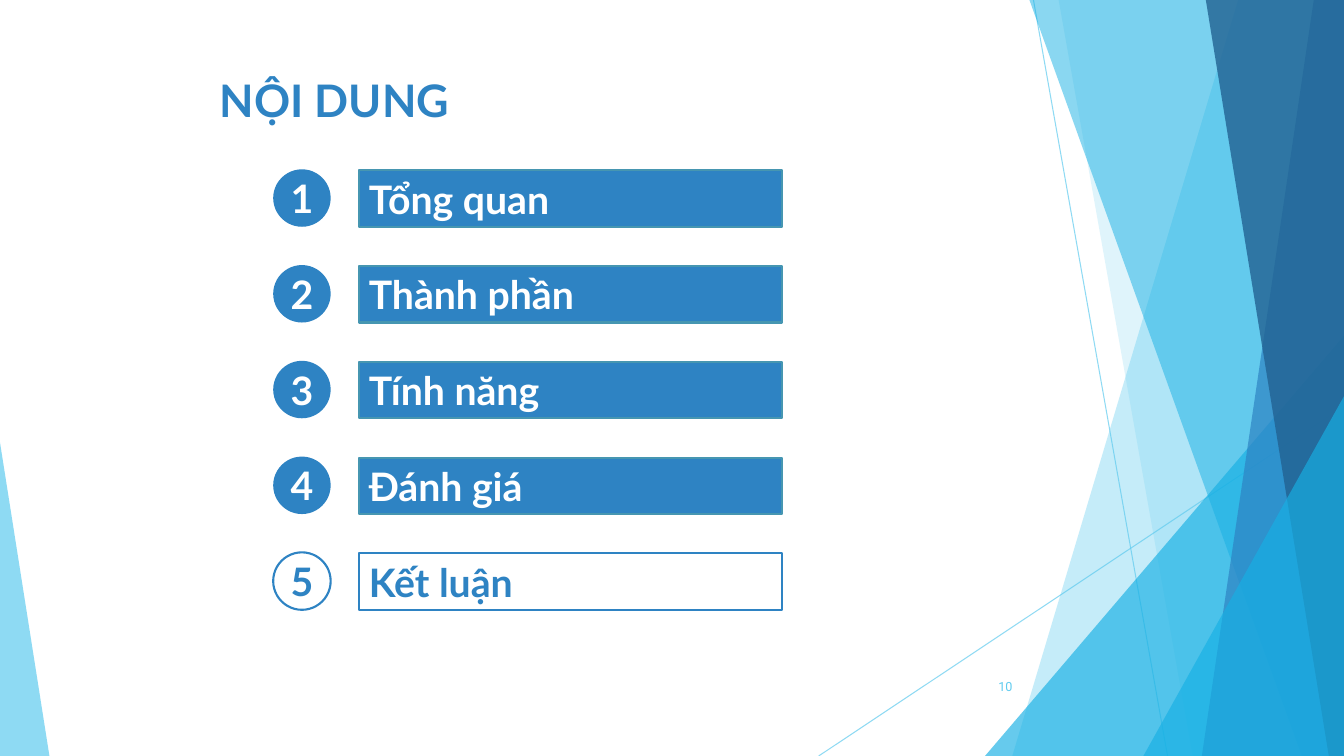
"""Build the agenda slide with its faceted blue backdrop."""
from lxml import etree
from pptx import Presentation, util as u
from pptx.dml.color import RGBColor
from pptx.enum import shapes as s, text as t
from pptx.oxml.ns import qn

PX = 9144
WIDTH, HEIGHT = 1333, 750
COLORS = {"sky": "5FCBEF", "cyan": "17B0E4", "blue": "2E83C3",
          "navy": "226292", "edge": "4696B1", "white": "FFFFFF"}
TOPICS = ["Tổng quan", "Thành phần", "Tính năng", "Đánh giá", "Kết luận"]
CURRENT = 5
FIRST_ROW, ROW_PITCH = 168, 95
RAYS = [(1025, 0, 1158, HEIGHT), (WIDTH, 403, 812, HEIGHT)]
BACKDROP = [
    ("facet", (1228, 1004), "sky", 36),
    ("facet", (1050, 1183), "sky", 20),
    ("triangle", (977, 333, 356, 417, 1), "cyan", 66),
    ("facet", (1021, 1291), "cyan", 50),
    ("facet", (1303, 1192), "blue", 70),
    ("facet", (1196, 1318), "navy", 80),
    ("triangle", (1134, 393, 199, 357, 1), "cyan", 66),
    ("triangle", (0, 439, 49, 311, 0), "sky", 70),
]
HEADING = {"name": "Lato", "size": u.Pt(32), "bold": True}
LABEL = {"name": "Lato", "size": u.Pt(28), "bold": True}
PAGE = {"name": "Roboto", "size": u.Pt(9), "bold": False}


def px(*lengths):
    """Turn pixel lengths into EMU."""
    return [u.Emu(length * PX) for length in lengths]


def rgb(color):
    """Look up a named colour."""
    return RGBColor.from_string(COLORS[color])


def fade(part, percent):
    """Set the opacity of the solid colour inside a part."""
    tint = part._element.spPr.find(".//" + qn("a:srgbClr"))
    etree.SubElement(tint, qn("a:alpha"), val=str(percent * 1000))


def paint(part, fill, outline=None):
    """Fill a shape and give it an outline or none."""
    part.shadow.inherit = False
    part.fill.solid()
    part.fill.fore_color.rgb = rgb(fill)
    if outline:
        part.line.color.rgb = rgb(outline)
        part.line.width = u.Pt(1.5)
    else:
        part.line.fill.background()


def write(part, words, look, color, align, **frame_format):
    """Put one formatted line of text in a shape."""
    frame = part.text_frame
    frame.text = words
    for name, value in frame_format.items():
        setattr(frame, name, value)
    line = frame.paragraphs[0]
    line.alignment = align
    for name, value in look.items():
        setattr(line.font, name, value)
    line.font.color.rgb = rgb(color)


def add_ray(slide, ends):
    """Draw one thin translucent ray."""
    ray = slide.shapes.add_connector(s.MSO_CONNECTOR.STRAIGHT, *px(*ends))
    ray.line.color.rgb = rgb("sky")
    ray.line.width = u.Pt(0.75)
    fade(ray, 70)
    etree.SubElement(ray._element.spPr, qn("a:effectLst"))


def add_facet(slide, top, bottom):
    """Outline a facet from its slanted left side to the right slide edge."""
    outline = slide.shapes.build_freeform(top, 0, scale=PX)
    outline.add_line_segments([(WIDTH, 0), (WIDTH, HEIGHT), (bottom, HEIGHT)])
    return outline.convert_to_shape()


def add_triangle(slide, left, top, width, height, apex):
    """Add a triangle whose apex lies at a share of its width."""
    triangle = slide.shapes.add_shape(
        s.MSO_SHAPE.ISOSCELES_TRIANGLE, *px(left, top, width, height))
    triangle.adjustments[0] = apex
    return triangle


def add_backdrop(slide):
    """Layer the rays, facets and triangles."""
    makers = {"facet": add_facet, "triangle": add_triangle}
    for ends in RAYS:
        add_ray(slide, ends)
    for kind, geometry, color, opacity in BACKDROP:
        pane = makers[kind](slide, *geometry)
        paint(pane, color)
        fade(pane, opacity)


def add_topic(slide, number, topic):
    """Add a numbered disc and its topic bar."""
    top = FIRST_ROW + (number - 1) * ROW_PITCH
    fill, ink, rim, edge = "blue", "white", None, "edge"
    if number == CURRENT:
        fill, ink, rim, edge = "white", "blue", "blue", "blue"
    disc = slide.shapes.add_shape(s.MSO_SHAPE.OVAL, *px(271, top, 57, 57))
    paint(disc, fill, rim)
    write(disc, str(number), LABEL, ink, t.PP_ALIGN.CENTER,
          vertical_anchor=t.MSO_ANCHOR.MIDDLE, word_wrap=False)
    bar = slide.shapes.add_shape(
        s.MSO_SHAPE.RECTANGLE, *px(356, top + 1, 420, 56))
    paint(bar, fill, edge)
    write(bar, topic, LABEL, ink, t.PP_ALIGN.LEFT,
          vertical_anchor=t.MSO_ANCHOR.MIDDLE, word_wrap=True)


def add_heading(slide, words):
    """Move and format the title placeholder."""
    heading = slide.shapes.title
    heading.left, heading.top, heading.width, heading.height = px(208, 67, 263, 64)
    write(heading, words, HEADING, "blue", t.PP_ALIGN.LEFT,
          vertical_anchor=t.MSO_ANCHOR.TOP, word_wrap=True,
          auto_size=t.MSO_AUTO_SIZE.SHAPE_TO_FIT_TEXT)


def add_page_number(slide, number):
    """Add the page number at the lower right."""
    page = slide.shapes.add_textbox(*px(939, 661, 75, 40))
    write(page, number, PAGE, "sky", t.PP_ALIGN.RIGHT,
          vertical_anchor=t.MSO_ANCHOR.MIDDLE, word_wrap=True)


def main():
    """Assemble and save the slide."""
    deck = Presentation()
    deck.slide_width, deck.slide_height = px(WIDTH, HEIGHT)
    slide = deck.slides.add_slide(deck.slide_layouts[5])
    add_backdrop(slide)
    add_heading(slide, "NỘI DUNG")
    add_page_number(slide, "10")
    for number, topic in enumerate(TOPICS, 1):
        add_topic(slide, number, topic)
    deck.save("out.pptx")


if __name__ == "__main__":
    main()
